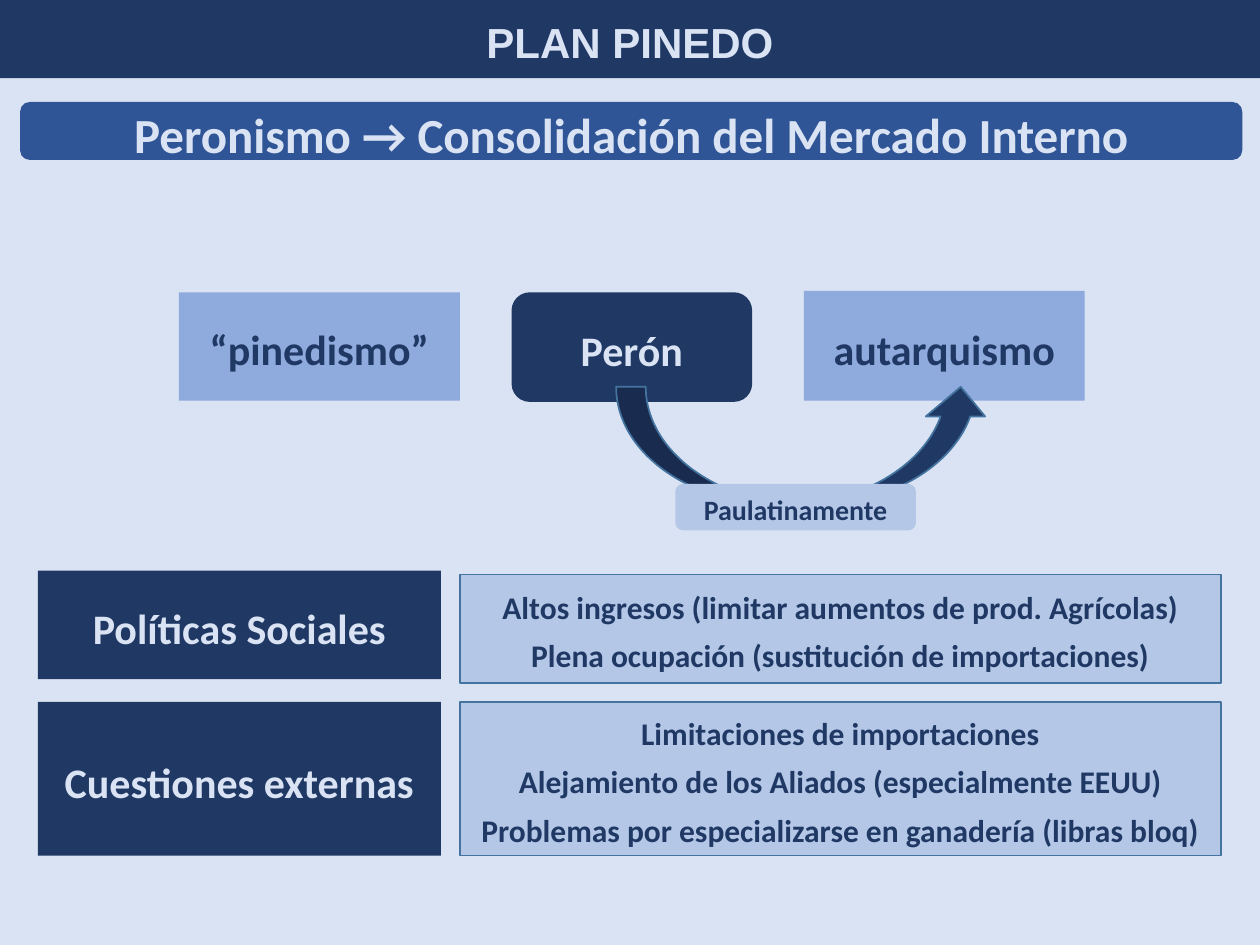
import pptx
from pptx.dml.color import RGBColor
from pptx.enum.shapes import MSO_SHAPE
from pptx.enum.text import MSO_ANCHOR, PP_ALIGN
from pptx.util import Inches, Pt

NAVY = RGBColor(0x20, 0x38, 0x64)
BLUE = RGBColor(0x2F, 0x55, 0x97)
SKY = RGBColor(0x8F, 0xAA, 0xDC)
LIGHT = RGBColor(0xB4, 0xC7, 0xE7)
PALE = RGBColor(0xDA, 0xE3, 0xF3)
OUTLINE = RGBColor(0x43, 0x73, 0x9E)

RECTANGLE = MSO_SHAPE.RECTANGLE
ROUNDED = MSO_SHAPE.ROUNDED_RECTANGLE

TITLE = "PLAN PINEDO"
# kind, (left, top, width, height), fill, text colour, size, text
CONCEPTS = [
    (ROUNDED, (0.16, 0.81, 9.7, 0.46), BLUE, PALE, 28,
     "Peronismo → Consolidación del Mercado Interno"),
    (ROUNDED, (4.06, 2.32, 1.91, 0.87), NAVY, PALE, 24, "Perón"),
    (RECTANGLE, (1.42, 2.32, 2.23, 0.86), SKY, NAVY, 24, "“pinedismo”"),
    (RECTANGLE, (6.38, 2.31, 2.23, 0.87), SKY, NAVY, 24, "autarquismo"),
]
ARROW_BOX = (4.89, 3.07, 2.97, 0.94)
ARROW_LABEL = (ROUNDED, (5.36, 3.84, 1.91, 0.37), LIGHT, NAVY, 16, "Paulatinamente")
# label top, detail top, height, label, details
POLICIES = [
    (4.53, 4.56, 0.86, "Políticas Sociales", [
        "Altos ingresos (limitar aumentos de prod. Agrícolas)",
        "Plena ocupación (sustitución de importaciones)",
    ]),
    (5.57, 5.57, 1.22, "Cuestiones externas", [
        "Limitaciones de importaciones",
        "Alejamiento de los Aliados (especialmente EEUU)",
        "Problemas por especializarse en ganadería (libras bloq)",
    ]),
]


def paint(shape, fill, outline=None):
    shape.fill.solid()
    shape.fill.fore_color.rgb = fill
    if outline is None:
        shape.line.fill.background()
    else:
        shape.line.color.rgb = outline
        shape.line.width = Pt(1)


def write(shape, lines, color, size, font="Calibri"):
    frame = shape.text_frame
    frame.word_wrap = True
    frame.vertical_anchor = MSO_ANCHOR.MIDDLE
    frame.margin_left = frame.margin_right = Inches(0.1)
    frame.margin_top = Inches(0.04)
    frame.margin_bottom = 0
    for index, line in enumerate(lines):
        paragraph = frame.paragraphs[0] if index == 0 else frame.add_paragraph()
        paragraph.alignment = PP_ALIGN.CENTER
        paragraph.space_before = Pt(6 if index else 0)
        run = paragraph.add_run()
        run.text = line
        run.font.name = font
        run.font.size = Pt(size)
        run.font.bold = True
        run.font.color.rgb = color


def add_shape(slide, kind, box, fill, outline=None):
    shape = slide.shapes.add_shape(kind, *map(Inches, box))
    shape.shadow.inherit = False
    paint(shape, fill, outline)
    return shape


def add_label(slide, kind, box, fill, color, size, text):
    write(add_shape(slide, kind, box, fill), [text], color, size)


def main():
    presentation = pptx.Presentation()
    presentation.slide_width = Inches(10)
    presentation.slide_height = Inches(7.5)
    slide = presentation.slides.add_slide(presentation.slide_layouts[5])
    slide.background.fill.solid()
    slide.background.fill.fore_color.rgb = PALE

    title = slide.shapes.title
    title.left, title.top = 0, 0
    title.width, title.height = Inches(10), Inches(0.62)
    paint(title, NAVY)
    write(title, [TITLE], PALE, 24, "Arial")

    for concept in CONCEPTS:
        add_label(slide, *concept)
    add_shape(slide, MSO_SHAPE.CURVED_UP_ARROW, ARROW_BOX, NAVY, OUTLINE)
    add_label(slide, *ARROW_LABEL)

    for label_top, detail_top, height, label, details in POLICIES:
        add_label(slide, RECTANGLE, (0.3, label_top, 3.2, height),
                  NAVY, PALE, 24, label)
        panel = add_shape(slide, RECTANGLE, (3.65, detail_top, 6.04, height),
                          LIGHT, OUTLINE)
        write(panel, details, NAVY, 18)

    presentation.save("out.pptx")


if __name__ == "__main__":
    main()
